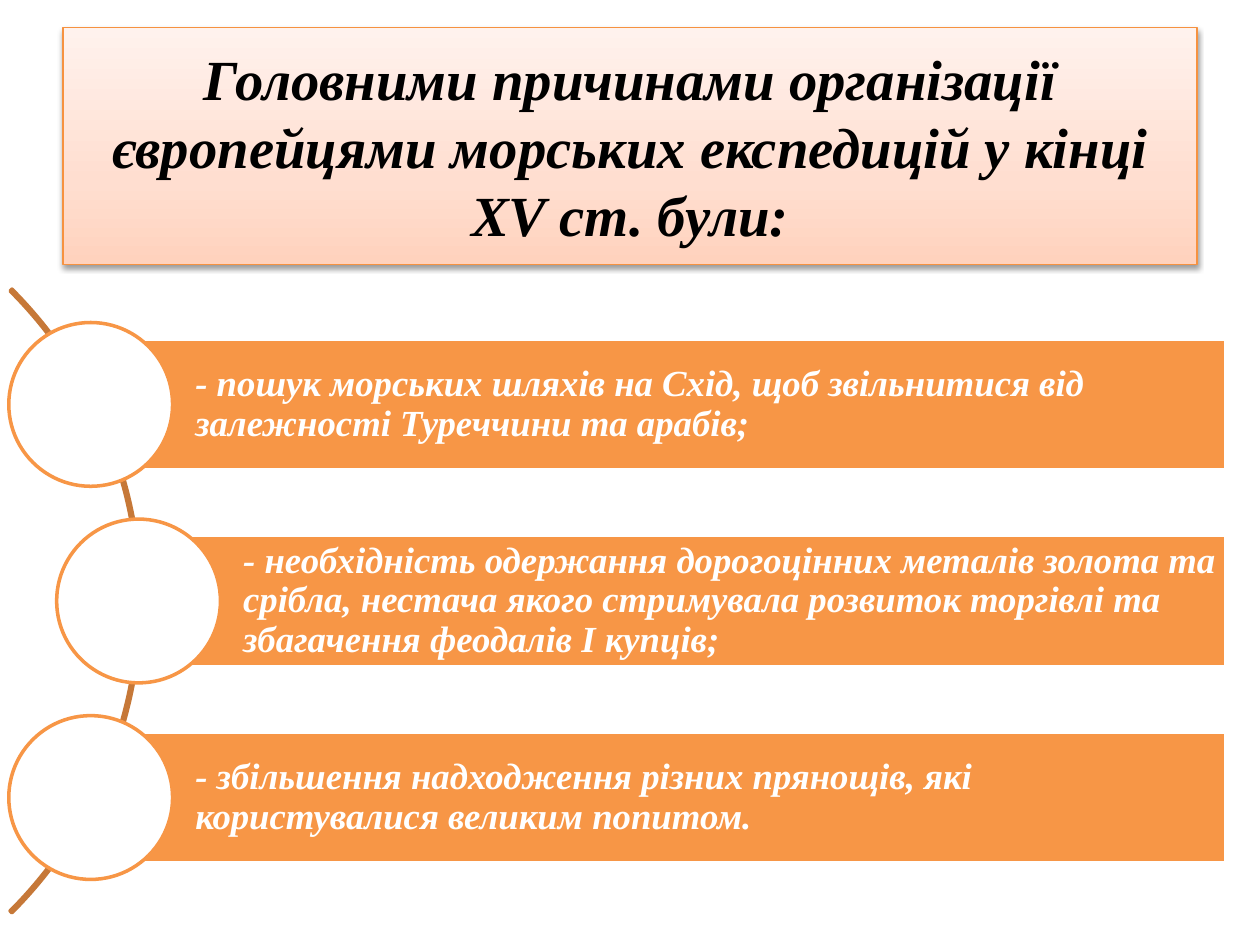
from copy import deepcopy

from lxml.etree import SubElement
from pptx import Presentation
from pptx.dml.color import RGBColor
from pptx.enum.shapes import MSO_SHAPE
from pptx.enum.text import MSO_ANCHOR, MSO_AUTO_SIZE, PP_ALIGN
from pptx.oxml.ns import qn
from pptx.util import Inches, Pt

TITLE = "Головними причинами організації європейцями морських експедицій у кінці XV ст. були:"
# (reason, indent along the arc in inches)
REASONS = [
    ("- пошук морських шляхів на Схід, щоб звільнитися від залежності Туреччини та арабів;", 0),
    ("- необхідність одержання дорогоцінних металів золота та срібла, нестача якого "
     "стримувала розвиток торгівлі та збагачення феодалів І купців;", 0.38),
    ("- збільшення надходження різних прянощів, які користувалися великим попитом.", 0),
]

BLACK = RGBColor(0x00, 0x00, 0x00)
WHITE = RGBColor(0xFF, 0xFF, 0xFF)
ORANGE = RGBColor(0xF7, 0x96, 0x46)
ARC_BROWN = RGBColor(0xC6, 0x78, 0x38)
TITLE_LINE = RGBColor(0xF6, 0x92, 0x40)
TITLE_STOPS = [(0, RGBColor(0xFF, 0xD2, 0xBD)), (0.35, RGBColor(0xFF, 0xDE, 0xD0)),
               (1, RGBColor(0xFF, 0xF2, 0xED))]

FONT = {"name": "Times New Roman", "bold": True, "italic": True}
CENTRE_Y, ROW_STEP = 4.77, 1.56
BAR_LEFT, BAR_RIGHT, BAR_H = 0.72, 9.73, 1.04
CIRCLE = 1.3
ARC_LEFT, ARC_SIZE = -5.88, 7


def write(sp, text, size, color, align):
    tf = sp.text_frame
    tf.word_wrap = True
    tf.auto_size = MSO_AUTO_SIZE.NONE
    tf.vertical_anchor = MSO_ANCHOR.MIDDLE
    p = tf.paragraphs[0]
    p.alignment = align
    r = p.add_run()
    r.text = text
    for key, value in {**FONT, "size": Pt(size)}.items():
        setattr(r.font, key, value)
    r.font.color.rgb = color
    return tf


def add_shape(slide, kind, box, fill, line):
    sp = slide.shapes.add_shape(kind, *map(Inches, box))
    sp.shadow.inherit = False
    if fill is None:
        sp.fill.background()
    else:
        sp.fill.solid()
        sp.fill.fore_color.rgb = fill
    sp.line.color.rgb = line
    sp.line.width = Pt(2)
    return sp


def add_title(slide):
    sp = slide.shapes.title
    sp.left, sp.top, sp.width, sp.height = map(Inches, (0.5, 0.22, 9, 1.88))
    sp.fill.gradient()
    sp.fill.gradient_angle = 90
    stops = sp._element.spPr.find(".//" + qn("a:gsLst"))
    stops.append(deepcopy(stops[-1]))
    for stop, (position, color) in zip(sp.fill.gradient_stops, TITLE_STOPS):
        stop.position = position
        stop.color.rgb = color
    sp.line.color.rgb = TITLE_LINE
    sp.line.width = Pt(0.75)
    effects = SubElement(sp._element.spPr, qn("a:effectLst"))
    shadow = SubElement(effects, qn("a:outerShdw"), blurRad=str(Pt(3.1)),
                        dist=str(Pt(1.6)), dir="5400000", rotWithShape="0")
    black = SubElement(shadow, qn("a:srgbClr"), val=str(BLACK))
    SubElement(black, qn("a:alpha"), val="38000")
    write(sp, TITLE, 32.4, BLACK, PP_ALIGN.CENTER)


def add_arc(slide):
    box = (ARC_LEFT, CENTRE_Y - ARC_SIZE / 2, ARC_SIZE, ARC_SIZE)
    arc = add_shape(slide, MSO_SHAPE.BLOCK_ARC, box, None, ARC_BROWN)
    for i, value in enumerate((189, 27, 0.003)):
        arc.adjustments[i] = value


def add_reason(slide, text, indent, middle):
    left = BAR_LEFT + indent
    bar = add_shape(slide, MSO_SHAPE.RECTANGLE,
                    (left, middle - BAR_H / 2, BAR_RIGHT - left, BAR_H), ORANGE, WHITE)
    tf = write(bar, text, 21, WHITE, PP_ALIGN.LEFT)
    tf.paragraphs[0].line_spacing = 0.9
    tf.margin_left = Inches(0.83)
    for side in ("right", "top", "bottom"):
        setattr(tf, f"margin_{side}", Inches(0.06))
    add_shape(slide, MSO_SHAPE.OVAL,
              (left - CIRCLE / 2, middle - CIRCLE / 2, CIRCLE, CIRCLE), WHITE, ORANGE)


def main():
    prs = Presentation()
    prs.slide_width, prs.slide_height = Inches(10), Inches(7.5)
    slide = prs.slides.add_slide(prs.slide_layouts[5])
    add_title(slide)
    add_arc(slide)
    for row, (text, indent) in enumerate(REASONS):
        add_reason(slide, text, indent, CENTRE_Y + (row - 1) * ROW_STEP)
    prs.save("out.pptx")


if __name__ == "__main__":
    main()
